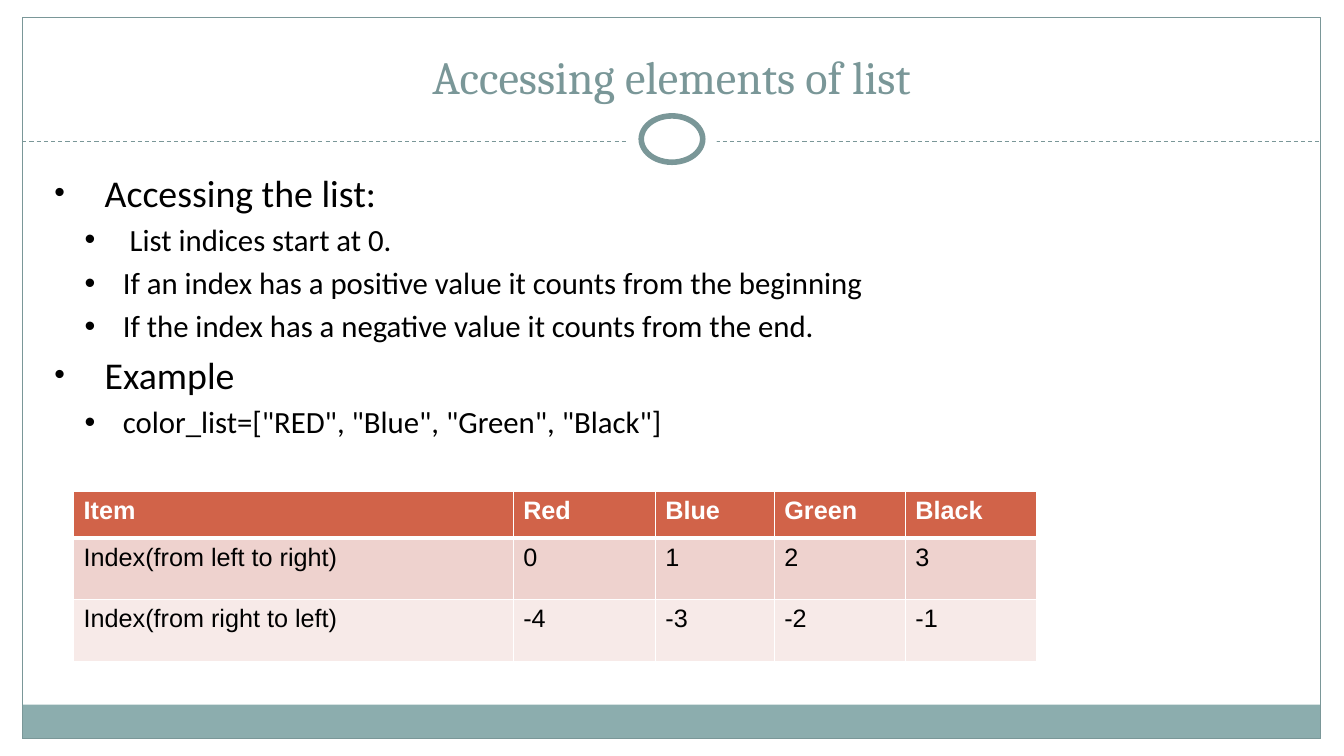
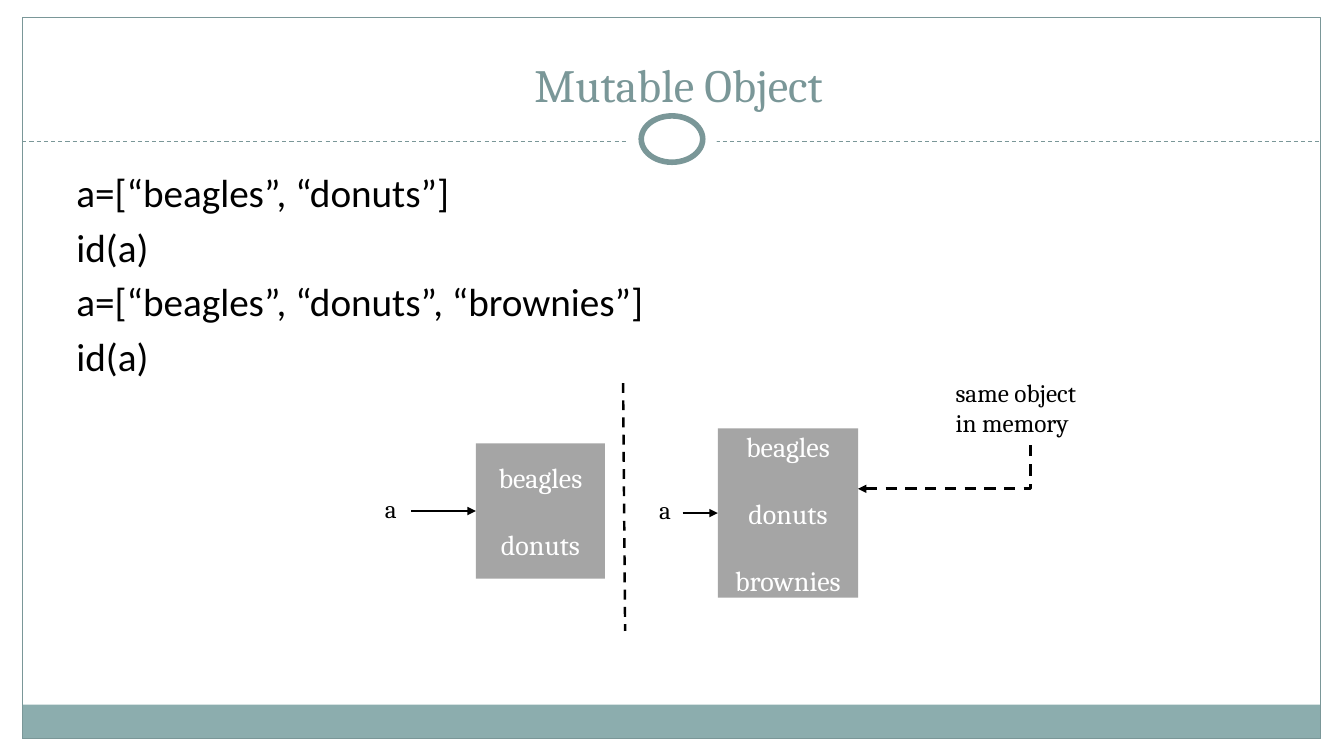
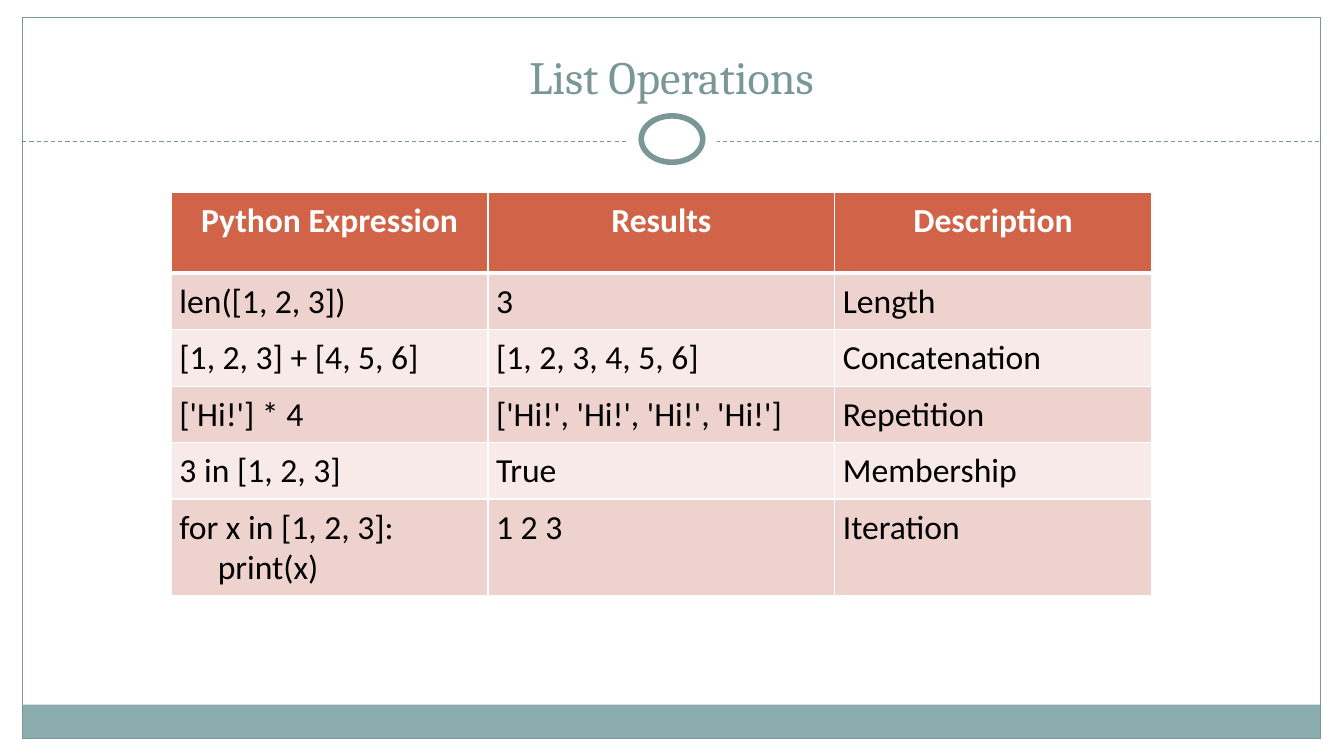
import pptx
import pptx.chart.data
import pptx.dml.color
import pptx.enum.dml
import pptx.enum.shapes
import pptx.enum.text
import pptx.oxml
import pptx.oxml.ns
import pptx.util

EMU_PER_PX = 9144
Pt = pptx.util.Pt
SHAPES = pptx.enum.shapes.MSO_SHAPE
CONNECTORS = pptx.enum.shapes.MSO_CONNECTOR
ANCHORS = pptx.enum.text.MSO_ANCHOR
DASH = pptx.enum.dml.MSO_LINE.DASH
CENTER = {"alignment": pptx.enum.text.PP_ALIGN.CENTER}

COLORS = {
    "white": "FFFFFF",
    "black": "000000",
    "teal": "7A9798",
    "band": "8CADAE",
    "gray": "A5A5A5",
    "header": "D16349",
    "odd_row": "EED2CE",
    "even_row": "F7EAE8",
}

STYLES = {
    "title": {"font": {"name": "Cambria", "size": Pt(33)}, "color": "teal", "paragraph": CENTER},
    "topic": {"font": {"name": "Calibri", "size": Pt(27)}, "gap": 5.4, "bullet": (50, 50, 80)},
    "detail": {"font": {"name": "Calibri", "size": Pt(22)}, "gap": 4.4, "bullet": (68, 38, 100)},
    "code": {"font": {"name": "Calibri", "size": Pt(28)}, "gap": 5.4},
    "label": {"font": {"name": "Cambria", "size": Pt(18)}},
    "element": {"font": {"name": "Cambria", "size": Pt(20)}, "color": "white",
                "paragraph": CENTER, "gap": 24},
    "index_header": {"font": {"name": "Arial", "size": Pt(18), "bold": True}, "color": "white"},
    "index": {"font": {"name": "Arial", "size": Pt(18), "bold": False}},
    "operation_header": {"font": {"name": "Calibri", "size": Pt(24), "bold": True},
                         "color": "white", "paragraph": CENTER},
    "operation": {"font": {"name": "Calibri", "size": Pt(24), "bold": False}},
}


def px(value):
    return pptx.util.Emu(value * EMU_PER_PX)


def rgb(color):
    return pptx.dml.color.RGBColor.from_string(COLORS[color])


def apply(target, values):
    for name, value in values.items():
        setattr(target, name, value)


def add_xml(parent, tag, **attributes):
    element = pptx.oxml.parse_xml(f"<a:{tag} {pptx.oxml.ns.nsdecls('a')}/>")
    for name, value in attributes.items():
        element.set(name, str(value))
    parent.append(element)
    return element


def set_fill(fill, color):
    if color:
        fill.solid()
        fill.fore_color.rgb = rgb(color)
    else:
        fill.background()


def set_line(line, color, width=0.75, dash=None):
    set_fill(line.fill, color)
    if color:
        apply(line, {"width": Pt(width), "dash_style": dash})


def set_indent(paragraph, margin, hanging=0):
    properties = paragraph._p.get_or_add_pPr()
    properties.set("marL", str(px(margin)))
    properties.set("indent", str(-px(hanging)))
    return properties


def write_text(frame, lines):
    for number, (text, style_name) in enumerate(lines):
        style = STYLES[style_name]
        paragraph = frame.add_paragraph() if number else frame.paragraphs[0]
        apply(paragraph, style.get("paragraph", {}))
        if number and "gap" in style:
            paragraph.space_before = Pt(style["gap"])
        if "bullet" in style:
            margin, hanging, percent = style["bullet"]
            properties = set_indent(paragraph, margin, hanging)
            add_xml(properties, "buSzPct", val=percent * 1000)
            add_xml(properties, "buFont", typeface="Arial")
            add_xml(properties, "buChar", char="•")
        run = paragraph.add_run()
        run.text = text
        apply(run.font, style["font"])
        run.font.color.rgb = rgb(style.get("color", "black"))


def add_text(slide, box, lines, anchor=ANCHORS.TOP):
    shape = slide.shapes.add_textbox(*map(px, box))
    apply(shape.text_frame, {"word_wrap": True, "vertical_anchor": anchor})
    write_text(shape.text_frame, lines)


def add_shape(slide, kind, box, fill=None, line=None, width=0.75):
    shape = slide.shapes.add_shape(kind, *map(px, box))
    shape.shadow.inherit = False
    set_fill(shape.fill, fill)
    set_line(shape.line, line, width)
    return shape


def add_line(slide, points, color="black", width=2, dash=None, arrow=None,
             kind=CONNECTORS.STRAIGHT, target=None):
    connector = slide.shapes.add_connector(kind, *map(px, points))
    if target is not None:
        connector.end_connect(target, 1)
    set_line(connector.line, color, width, dash)
    if arrow:
        add_xml(connector.line._get_or_add_ln(), arrow, type="triangle")
    add_xml(connector._element.spPr, "effectLst")
    return connector


def add_object(slide, box, elements):
    shape = add_shape(slide, SHAPES.RECTANGLE, box, "gray")
    apply(shape.text_frame, {"word_wrap": True, "vertical_anchor": ANCHORS.MIDDLE})
    write_text(shape.text_frame, [(element, "element") for element in elements])
    return shape


def set_borders(cell, row_number):
    properties = cell._tc.get_or_add_tcPr()
    widths = {"lnL": 1, "lnR": 1,
              "lnT": 3 if row_number == 1 else 1,
              "lnB": 3 if row_number == 0 else 1}
    for tag, width in widths.items():
        border = add_xml(properties, tag, w=Pt(width))
        add_xml(add_xml(border, "solidFill"), "srgbClr", val=COLORS["white"])


def add_table(slide, left, top, widths, heights, rows, style, insets):
    box = (left, top, sum(widths), sum(heights))
    table = slide.shapes.add_table(len(rows), len(widths), *map(px, box)).table
    for column, width in zip(table.columns, widths):
        column.width = px(width)
    for row_number, (row, height, texts) in enumerate(zip(table.rows, heights, rows)):
        row.height = px(height)
        if row_number == 0:
            fill, row_style = "header", f"{style}_header"
        else:
            fill, row_style = "odd_row" if row_number % 2 else "even_row", style
        for cell, text in zip(row.cells, texts):
            apply(cell, insets)
            set_borders(cell, row_number)
            set_fill(cell.fill, fill)
            write_text(cell.text_frame, [(line, row_style) for line in text.split("\n")])
    return table


def add_slide(presentation, title, title_box=(44, 25, 1244, 83)):
    slide = presentation.slides.add_slide(presentation.slide_layouts[6])
    add_shape(slide, SHAPES.RECTANGLE, (22, 699, 1288, 34), "band")
    add_shape(slide, SHAPES.RECTANGLE, (22, 17, 1288, 716), line="teal")
    add_line(slide, (22, 140, 1310, 140), "teal", 0.75, DASH)
    add_shape(slide, SHAPES.OVAL, (622, 105, 89, 67), "white")
    add_shape(slide, SHAPES.OVAL, (636, 115, 61, 46), "white", "teal", 4)
    add_text(slide, title_box, [(title, "title")], ANCHORS.BOTTOM)
    return slide


def build_access_slide(presentation):
    slide = add_slide(presentation, "Accessing elements of list")
    add_text(slide, (44, 163, 1244, 325), [
        ("Accessing the list:", "topic"),
        (" List indices start at 0.", "detail"),
        ("If an index has a positive value it counts from the beginning", "detail"),
        ("If the index has a negative value it counts from the end.", "detail"),
        ("Example", "topic"),
        ('color_list=["RED", "Blue", "Green", "Black"]', "detail"),
    ])
    rows = [
        ("Item", "Red", "Blue", "Green", "Black"),
        ("Index(from left to right)", "0", "1", "2", "3"),
        ("Index(from right to left)", "-4", "-3", "-2", "-1"),
    ]
    insets = {"margin_left": px(10), "margin_right": px(10),
              "margin_top": px(5), "margin_bottom": px(5)}
    add_table(slide, 73, 488, (436, 141, 118, 130, 130), (46, 61, 61), rows, "index", insets)


def build_mutable_slide(presentation):
    slide = add_slide(presentation, "Mutable Object", (203, 37, 940, 79))
    statements = ("a=[“beagles”, “donuts”]", "id(a)",
                  "a=[“beagles”, “donuts”, “brownies”]", "id(a)")
    add_text(slide, (66, 162, 612, 173), [(statement, "code") for statement in statements])
    before = add_object(slide, (472, 440, 128, 134), ("beagles", "donuts"))
    after = add_object(slide, (712, 425, 139, 168), ("beagles", "donuts", "brownies"))
    add_line(slide, (618, 380, 620, 626), width=1.75, dash=DASH)
    add_line(slide, (408, 507, 472, 507), arrow="tailEnd", target=before)
    add_line(slide, (677, 509, 712, 509), arrow="tailEnd", target=after)
    add_text(slide, (372, 484, 34, 40), [("a", "label")])
    add_text(slide, (644, 485, 34, 40), [("a", "label")])
    add_text(slide, (938, 369, 167, 71), [("same object", "label"), ("in memory", "label")])
    pointer = add_line(slide, (851, 485, 1022, 439), dash=DASH, arrow="headEnd",
                       kind=CONNECTORS.ELBOW)
    pointer._element.spPr.find(pptx.oxml.ns.qn("a:prstGeom")).set("prst", "bentConnector2")


def build_operations_slide(presentation):
    slide = add_slide(presentation, "List Operations")
    rows = [
        ("Python Expression", "Results", "Description"),
        ("len([1, 2, 3])", "3", "Length"),
        ("[1, 2, 3] + [4, 5, 6]", "[1, 2, 3, 4, 5, 6]", "Concatenation"),
        ("['Hi!'] * 4", "['Hi!', 'Hi!', 'Hi!', 'Hi!']", "Repetition"),
        ("3 in [1, 2, 3]", "True", "Membership"),
        ("for x in [1, 2, 3]:\nprint(x)", "1 2 3", "Iteration"),
    ]
    insets = {f"margin_{side}": px(8) for side in ("left", "right", "top", "bottom")}
    table = add_table(slide, 170, 191, (314, 344, 314), (80, 54, 54, 54, 54, 80),
                      rows, "operation", insets)
    set_indent(table.cell(5, 0).text_frame.paragraphs[1], 38)


def main():
    presentation = pptx.Presentation()
    apply(presentation, {"slide_width": px(1333), "slide_height": px(750)})
    build_access_slide(presentation)
    build_mutable_slide(presentation)
    build_operations_slide(presentation)
    presentation.save("out.pptx")


if __name__ == "__main__":
    main()
